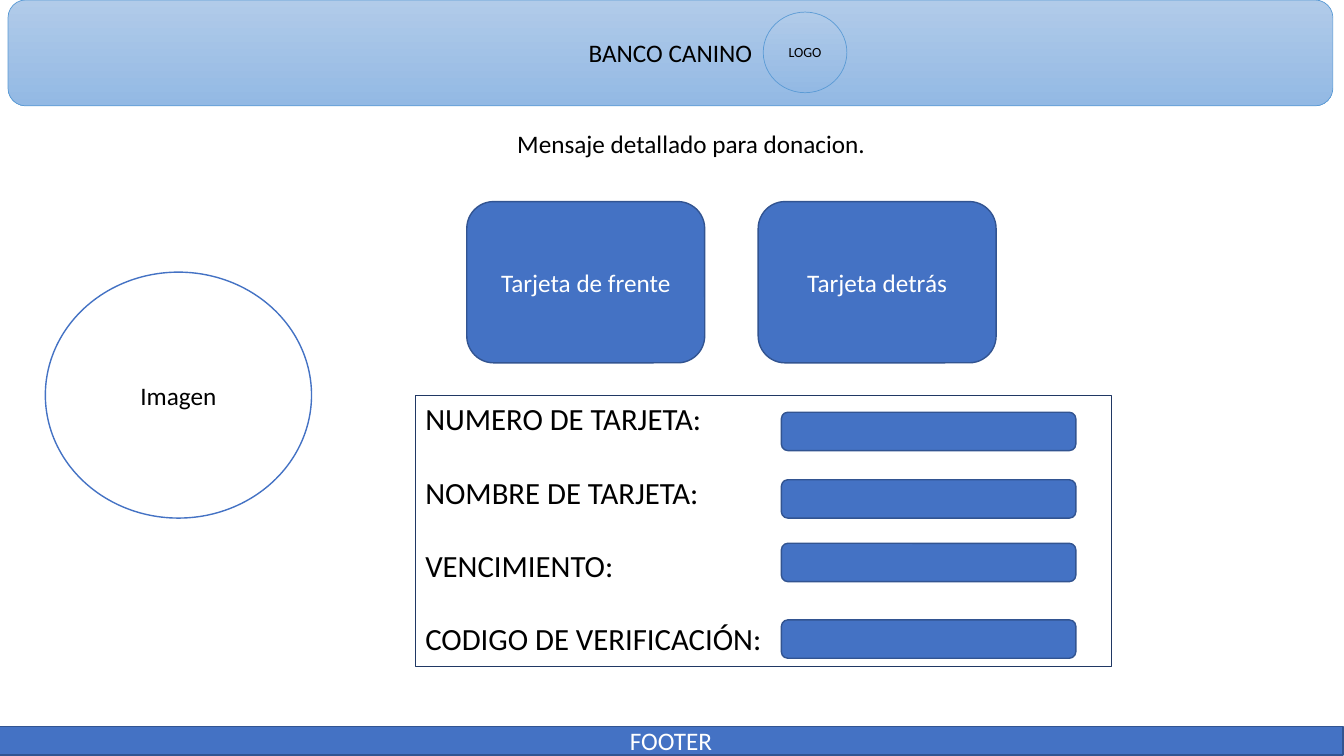
from dataclasses import dataclass

import pptx
import pptx.dml.color
import pptx.enum.shapes
import pptx.enum.text
import pptx.util

PX = 9144  # EMU in one px, 100 px to the inch
FONT = "Calibri"
COLORS = {
    "blue": "4472C4",
    "blue_edge": "325491",
    "sky_top": "B1CBE9",
    "sky_bottom": "93B9E4",
    "sky_edge": "5B9BD5",
    "navy": "203864",
    "white": "FFFFFF",
    "black": "000000",
}
SHAPE = pptx.enum.shapes.MSO_SHAPE
ALIGN = pptx.enum.text.PP_ALIGN
ANCHOR = pptx.enum.text.MSO_ANCHOR


@dataclass(frozen=True)
class Style:
    fills: tuple[str, ...]  # none, one solid colour, or two gradient colours
    edge: str
    edge_pt: float
    ink: str


SOLID = Style(("blue",), "blue_edge", 1, "white")
SKY = Style(("sky_top", "sky_bottom"), "sky_edge", 0.5, "black")
PICTURE = Style(("white",), "blue", 1, "black")
OUTLINE = Style((), "navy", 0.75, "black")


@dataclass(frozen=True)
class Block:
    kind: SHAPE
    left: int
    top: int
    width: int
    height: int
    style: Style
    lines: tuple[str, ...] = ()
    size: int = 18
    align: ALIGN = ALIGN.CENTER
    anchor: ANCHOR = ANCHOR.MIDDLE
    gap_pt: int = 0


def rgb(name: str) -> pptx.dml.color.RGBColor:
    return pptx.dml.color.RGBColor.from_string(COLORS[name])


def write(frame, lines: tuple[str, ...], size: int, ink: str,
          align: ALIGN, anchor: ANCHOR, gap_pt: int = 0) -> None:
    frame.word_wrap = True
    frame.vertical_anchor = anchor
    frame.text = "\n".join(lines)
    for index, paragraph in enumerate(frame.paragraphs):
        paragraph.alignment = align
        paragraph.line_spacing = 1.0
        paragraph.space_before = pptx.util.Pt(gap_pt if index else 0)
        paragraph.font.name = FONT
        paragraph.font.size = pptx.util.Pt(size)
        paragraph.font.color.rgb = rgb(ink)


def draw(slide, block: Block) -> None:
    shape = slide.shapes.add_shape(
        block.kind, block.left * PX, block.top * PX, block.width * PX, block.height * PX)
    shape.shadow.inherit = False
    style = block.style
    if not style.fills:
        shape.fill.background()
    elif len(style.fills) == 1:
        shape.fill.solid()
        shape.fill.fore_color.rgb = rgb(style.fills[0])
    else:
        shape.fill.gradient()
        shape.fill.gradient_angle = 270
        for stop, color in zip(shape.fill.gradient_stops, style.fills):
            stop.color.rgb = rgb(color)
    shape.line.color.rgb = rgb(style.edge)
    shape.line.width = pptx.util.Pt(style.edge_pt)
    if block.lines:
        write(shape.text_frame, block.lines, block.size, style.ink,
              block.align, block.anchor, block.gap_pt)


def main() -> None:
    deck = pptx.Presentation()
    deck.slide_width, deck.slide_height = 1333 * PX, 750 * PX
    slide = deck.slides.add_slide(deck.slide_layouts[5])

    # Donation message
    message = slide.shapes.title
    message.left, message.top, message.width, message.height = (
        503 * PX, 122 * PX, 374 * PX, 40 * PX)
    write(message.text_frame, ("Mensaje detallado para donacion.",), 18, "black",
          ALIGN.LEFT, ANCHOR.TOP)
    message.text_frame.auto_size = pptx.enum.text.MSO_AUTO_SIZE.NONE

    # Footer, banner and logo
    page = [
        Block(SHAPE.RECTANGLE, -1, 721, 1333, 28, SOLID, ("FOOTER",)),
        Block(SHAPE.ROUNDED_RECTANGLE, 8, 0, 1314, 105, SKY, ("BANCO CANINO",)),
        Block(SHAPE.OVAL, 757, 12, 83, 80, SKY, ("LOGO",), size=10),
    ]

    # Both sides of the card, and the image
    cards = [
        Block(SHAPE.ROUNDED_RECTANGLE, 463 + 289 * index, 200, 236, 160, SOLID, (side,))
        for index, side in enumerate(("Tarjeta de frente", "Tarjeta detrás"))
    ]
    image = Block(SHAPE.OVAL, 45, 270, 264, 244, PICTURE, ("Imagen",))

    # Card form: labels and entry fields
    labels = ("NUMERO DE TARJETA:", "NOMBRE DE TARJETA:",
              "VENCIMIENTO:", "CODIGO DE VERIFICACIÓN:")
    form = Block(SHAPE.RECTANGLE, 412, 392, 690, 269, OUTLINE, labels, size=22,
                 align=ALIGN.LEFT, anchor=ANCHOR.TOP, gap_pt=26)
    fields = [
        Block(SHAPE.ROUNDED_RECTANGLE, 775, top, 292, 38, SOLID)
        for top in (409, 476, 539, 615)
    ]

    for block in (*page, *cards, image, form, *fields):
        draw(slide, block)
    deck.save("out.pptx")


if __name__ == "__main__":
    main()
